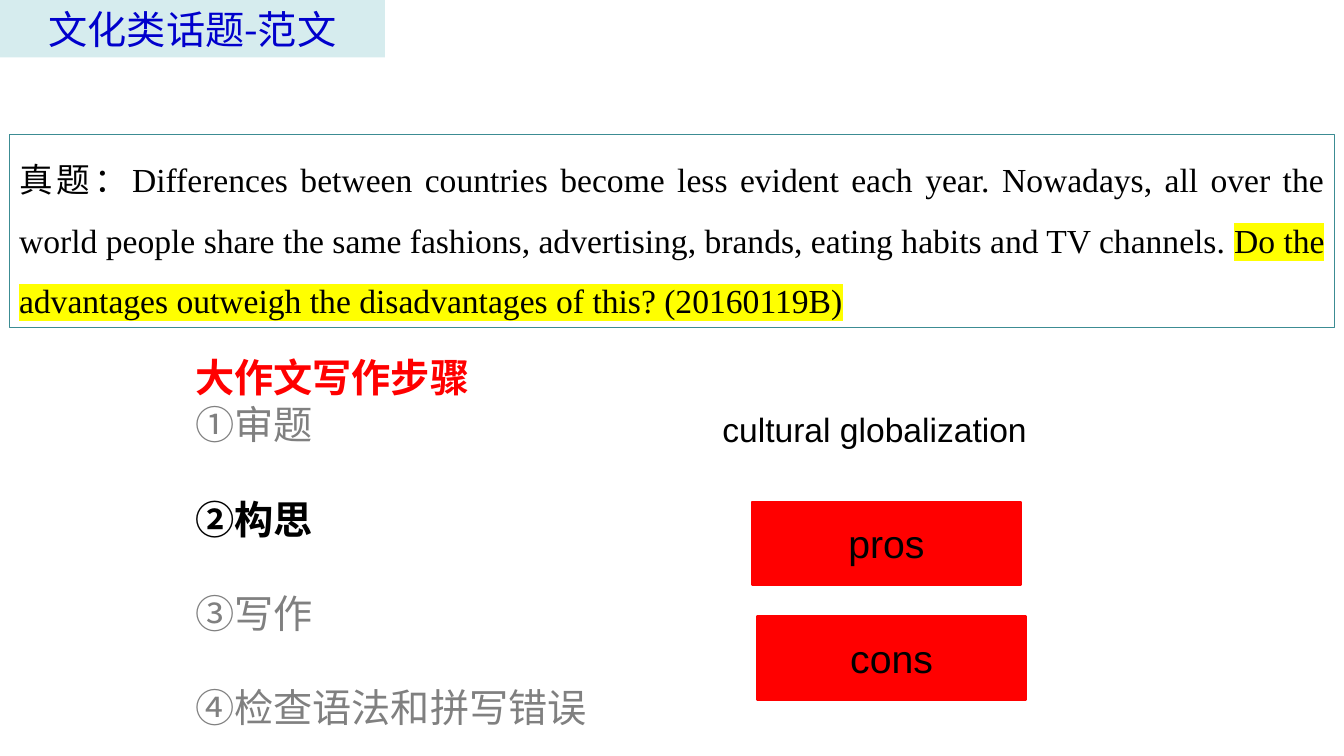
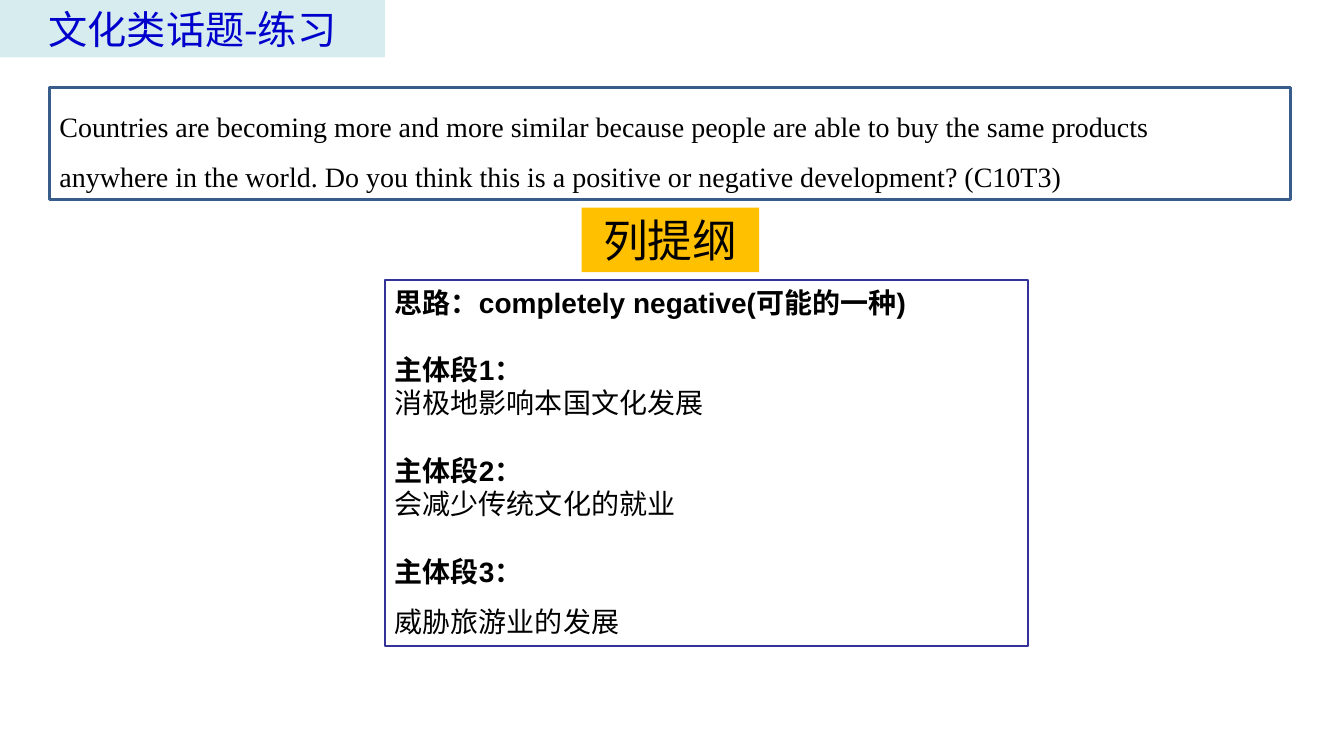
from dataclasses import dataclass

from lxml.etree import SubElement
from pptx import Presentation
from pptx.dml.color import RGBColor
from pptx.enum.shapes import MSO_SHAPE
from pptx.enum.text import MSO_ANCHOR, PP_ALIGN
from pptx.oxml.ns import qn
from pptx.util import Cm, Pt

COLORS = {
    "black": "000000",
    "gray": "808080",
    "red": "FF0000",
    "band": "D6ECEE",
    "title": "0000CC",
    "teal": "3C8C93",
    "steel": "385D8A",
    "indigo": "333399",
    "amber": "FFC000",
    "marker": "FFFF00",
}
SANS = "Arial"
SERIF = "Times New Roman"
CHINESE = "Noto Sans CJK SC"
LINE_HEIGHT = 1.2


@dataclass
class Line:
    text: str
    color: str = "black"
    bold: bool = False
    gap: bool = False
    spacing: float = 1
    marked: str = ""


def rgb(name):
    return RGBColor.from_string(COLORS[name])


def highlight(span, color):
    marker = SubElement(span._r.get_or_add_rPr(), qn("a:highlight"))
    SubElement(marker, qn("a:srgbClr")).set("val", COLORS[color])


def write_lines(box, lines, size, font, align=PP_ALIGN.LEFT):
    frame = box.text_frame
    frame.word_wrap = True
    for index, line in enumerate(lines):
        para = frame.add_paragraph() if index else frame.paragraphs[0]
        para.alignment = align
        para.line_spacing = Pt(size * LINE_HEIGHT * line.spacing)
        para.space_before = Pt(size * LINE_HEIGHT if line.gap else 0)
        para.add_run().text = line.text
        if line.marked:
            span = para.add_run()
            span.text = line.marked
            highlight(span, "marker")
        para.font.size = Pt(size)
        para.font.bold = line.bold
        para.font.color.rgb = rgb(line.color)
        para.font.name = font
        defaults = para._p.pPr.find(qn("a:defRPr"))
        SubElement(defaults, qn("a:ea")).set("typeface", CHINESE)


def add_text(page, place, lines, size, font, align=PP_ALIGN.LEFT):
    box = page.shapes.add_textbox(*map(Cm, place))
    write_lines(box, lines, size, font, align)


def add_panel(page, place, lines, size, font, align=PP_ALIGN.LEFT,
              fill=None, border=None, width=1, anchor=MSO_ANCHOR.TOP):
    panel = page.shapes.add_shape(MSO_SHAPE.RECTANGLE, *map(Cm, place))
    panel.shadow.inherit = False
    if fill:
        panel.fill.solid()
        panel.fill.fore_color.rgb = rgb(fill)
    else:
        panel.fill.background()
    if border:
        panel.line.color.rgb = rgb(border)
        panel.line.width = Pt(width)
    else:
        panel.line.fill.background()
    panel.text_frame.vertical_anchor = anchor
    write_lines(panel, lines, size, font, align)


def add_page(deck, title):
    page = deck.slides.add_slide(deck.slide_layouts[6])
    add_panel(page, (0, 0, 9.7, 1.45), [Line(title, "title")], 28, CHINESE,
              PP_ALIGN.CENTER, fill="band")
    return page


def add_sample_page(deck):
    page = add_page(deck, "文化类话题-范文")
    question = Line(
        "真题：Differences between countries become less evident each year. "
        "Nowadays, all over the world people share the same fashions, "
        "advertising, brands, eating habits and TV channels. ",
        spacing=1.5,
        marked="Do the advantages outweigh the disadvantages of this? (20160119B)",
    )
    add_panel(page, (0.23, 3.38, 33.4, 4.88), [question], 24, SERIF,
              PP_ALIGN.JUSTIFY, border="teal", width=0.75)
    steps = [
        Line("大作文写作步骤", "red", bold=True),
        Line("①审题", "gray"),
        Line("②构思", bold=True, gap=True),
        Line("③写作", "gray", gap=True),
        Line("④检查语法和拼写错误", "gray", gap=True),
    ]
    add_text(page, (4.67, 8.79, 11, 9.83), steps, 28, CHINESE)
    add_text(page, (17.25, 10.19, 9.58, 1.27),
             [Line("cultural globalization")], 24, SANS, PP_ALIGN.CENTER)
    for side, left, top in (("pros", 18.95, 12.65), ("cons", 19.08, 15.54)):
        add_panel(page, (left, top, 6.78, 2.08), [Line(side)], 28, SANS,
                  PP_ALIGN.CENTER, fill="red", border="red", width=2,
                  anchor=MSO_ANCHOR.MIDDLE)


def add_practice_page(deck):
    page = add_page(deck, "文化类话题-练习")
    question = [
        Line("Countries are becoming more and more similar because people "
             "are able to buy the same products", spacing=1.5),
        Line("anywhere in the world. Do you think this is a positive or "
             "negative development? (C10T3)", spacing=1.5),
    ]
    add_panel(page, (1.25, 2.21, 31.27, 2.82), question, 20, SERIF,
              PP_ALIGN.JUSTIFY, border="steel", width=2.25)
    add_panel(page, (14.66, 5.23, 4.47, 1.63), [Line("列提纲")], 32, SANS,
              PP_ALIGN.CENTER, fill="amber")
    outline = [
        Line("思路：completely negative(可能的一种)", bold=True),
        Line("主体段1：", bold=True, gap=True),
        Line("消极地影响本国文化发展"),
        Line("主体段2：", bold=True, gap=True),
        Line("会减少传统文化的就业"),
        Line("主体段3：", bold=True, gap=True),
        Line("威胁旅游业的发展", spacing=1.5),
    ]
    add_panel(page, (9.7, 7.06, 16.2, 9.22), outline, 20, SANS,
              border="indigo", width=1.5)


def main():
    deck = Presentation()
    deck.slide_width = Cm(33.87)
    deck.slide_height = Cm(19.05)
    add_sample_page(deck)
    add_practice_page(deck)
    deck.save("out.pptx")


if __name__ == "__main__":
    main()
